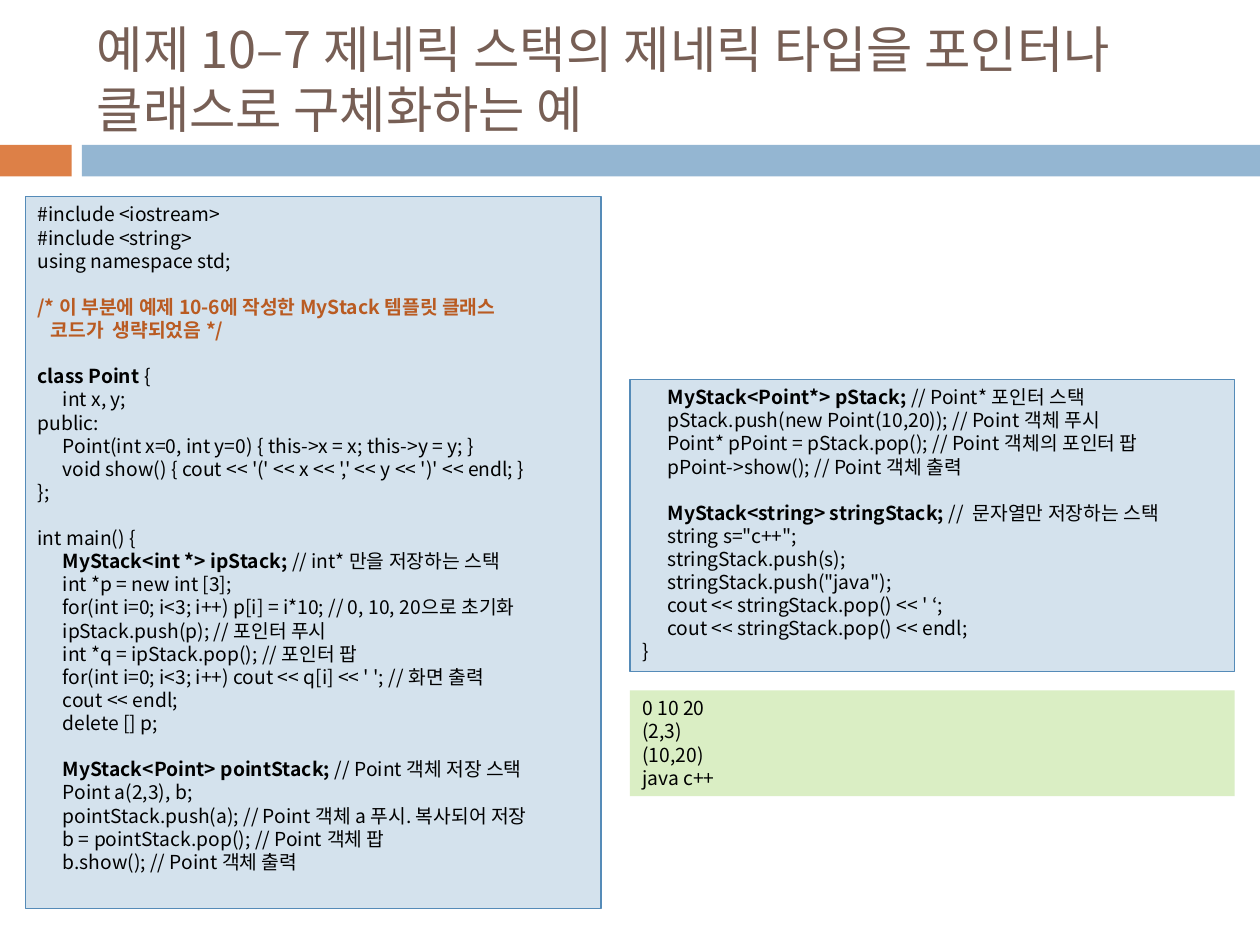
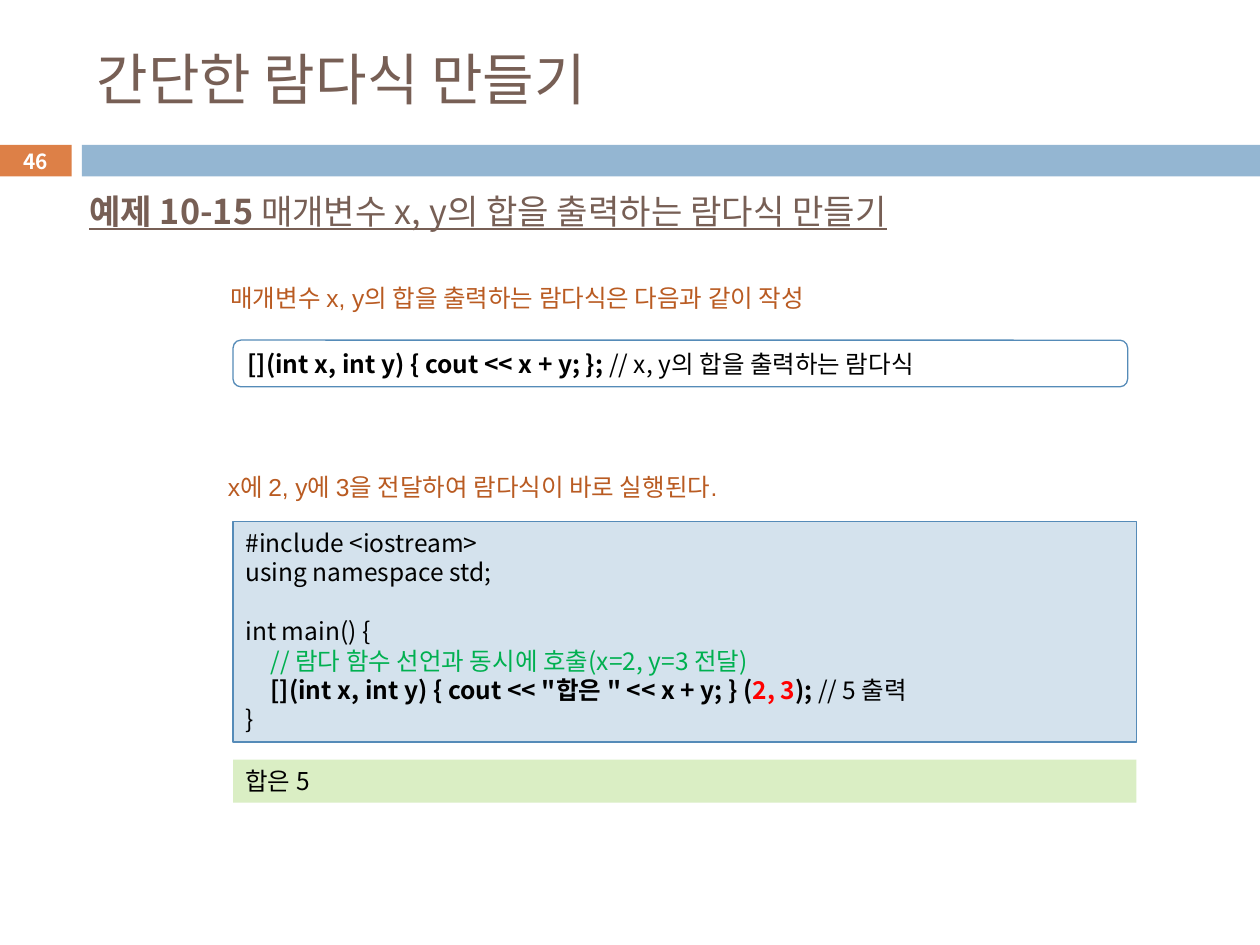
from dataclasses import dataclass
from lxml import etree
from pptx import Presentation
from pptx.dml.color import RGBColor
from pptx.enum import shapes, text
from pptx.oxml import ns
from pptx.util import Inches, Pt


@dataclass(frozen=True)
class Theme:
    sans: str = "Noto Sans CJK KR"
    plain: str = "Arial"
    brown: str = "775F55"
    orange: str = "DD8047"
    blue: str = "94B6D2"
    pale: str = "D4E2ED"
    edge: str = "558BB8"
    lime: str = "DAEEC4"
    rust: str = "B95B22"
    green: str = "00B050"
    red: str = "FF0000"
    black: str = "000000"
    white: str = "FFFFFF"
    small: float = 11
    body: float = 14
    badge: float = 11.9
    sub: float = 19.5
    long: float = 28.8
    title: float = 32
    pitch: float = 1.2
    tab: float = 0.2


T = Theme()
RECT = shapes.MSO_SHAPE.RECTANGLE
ROUND = shapes.MSO_SHAPE.ROUNDED_RECTANGLE
MID = text.MSO_ANCHOR.MIDDLE
BOLD = {"bold": True}
NOTE = {"bold": True, "color": T.rust}
HINT = {"color": T.green}
HOT = {"bold": True, "color": T.red}

STACK = [
    ["#include <iostream>", "#include <string>", "using namespace std;"],
    [[("/* 이 부분에 예제 10-6에 작성한 MyStack 템플릿 클래스", NOTE)],
     [("   코드가  생략되었음 */", NOTE)]],
    [[("class Point ", BOLD), ("{", {})],
     "\tint x, y;",
     "public:",
     "\tPoint(int x=0, int y=0) { this->x = x; this->y = y; }",
     "\tvoid show() { cout << '(' << x << ',' << y << ')' << endl; }",
     "};"],
    ["int main() {",
     [("\t", {}), ("MyStack<int *> ipStack; ", BOLD), ("// int* 만을 저장하는 스택", {})],
     "\tint *p = new int [3];",
     "\tfor(int i=0; i<3; i++) p[i] = i*10; // 0, 10, 20으로 초기화",
     "\tipStack.push(p); // 포인터 푸시",
     "\tint *q = ipStack.pop(); // 포인터 팝",
     "\tfor(int i=0; i<3; i++) cout << q[i] << ' '; // 화면 출력",
     "\tcout << endl;",
     "\tdelete [] p;"],
    [[("\t", {}), ("MyStack<Point> pointStack; ", BOLD), ("// Point 객체 저장 스택", {})],
     "\tPoint a(2,3), b;",
     "\tpointStack.push(a); // Point 객체 a 푸시. 복사되어 저장",
     "\tb = pointStack.pop(); // Point 객체 팝",
     "\tb.show(); // Point 객체 출력"],
]
MORE = [
    [[("\t", {}), ("MyStack<Point*> pStack; ", BOLD), ("// Point* 포인터 스택", {})],
     "\tpStack.push(new Point(10,20)); // Point 객체 푸시",
     "\tPoint* pPoint = pStack.pop(); // Point 객체의 포인터 팝",
     "\tpPoint->show(); // Point 객체 출력"],
    [[("\t", {}), ("MyStack<string> stringStack; ", BOLD), ("//  문자열만 저장하는 스택", {})],
     '\tstring s="c++";',
     "\tstringStack.push(s);",
     '\tstringStack.push("java");',
     "\tcout << stringStack.pop() << ' ‘;",
     "\tcout << stringStack.pop() << endl;",
     "}"],
]
RESULT = [["0 10 20", "(2,3)", "(10,20)", "java c++"]]
FORM = [[[("[](int x, int y) { cout << x + y; }; ", BOLD),
          ("// x, y의 합을 출력하는 람다식", {})]]]
CALL = [
    ["#include <iostream>", "using namespace std;"],
    ["int main() {",
     [("\t", {}), ("// 람다 함수 선언과 동시에 호출(x=2, y=3 전달)", HINT)],
     [("\t", {}), ('[](int x, int y) { cout << "합은 " << x + y; } (', BOLD),
      ("2, 3", HOT), ("); ", BOLD), ("// 5 출력", {})],
     "}"],
]
LINE = {"underline": True}
TOPIC = [[[("예제", {**LINE, **BOLD}), (" ", LINE), ("10-15", {**LINE, **BOLD}),
           (" 매개변수 x, y의 합을 출력하는 람다식 만들기", LINE)]]]


def rgb(code):
    return RGBColor.from_string(code)


def add_run(para, words, size, face, color, bold=False, underline=False):
    run = para.add_run()
    run.text = words
    font = run.font
    font.size, font.bold, font.underline = Pt(size), bold, underline
    font.color.rgb = rgb(color)
    font.name = face
    east = etree.SubElement(run._r.get_or_add_rPr(), ns.qn("a:ea"))
    east.set("typeface", T.sans)


def write(shape, groups, size, color=T.black, face=T.sans,
          anchor=text.MSO_ANCHOR.TOP, align=text.PP_ALIGN.LEFT, **look):
    frame = shape.text_frame
    frame.word_wrap, frame.vertical_anchor = True, anchor
    pitch = Pt(size * T.pitch)
    first = True
    for group in groups:
        for row, line in enumerate(group):
            para = frame.paragraphs[0] if first else frame.add_paragraph()
            para.alignment, para.line_spacing = align, pitch
            if row == 0 and not first:
                para.space_before = pitch
            first = False
            runs = [(line, {})] if isinstance(line, str) else line
            if runs[0][0].startswith("\t"):
                tabs = etree.SubElement(para._p.get_or_add_pPr(), ns.qn("a:tabLst"))
                stop = etree.SubElement(tabs, ns.qn("a:tab"))
                stop.set("pos", str(Inches(T.tab)))
                stop.set("algn", "l")
            for words, style in runs:
                add_run(para, words, **{"size": size, "face": face, "color": color,
                                        **look, **style})


def panel(slide, box, fill=None, edge=None, kind=RECT):
    shape = slide.shapes.add_shape(kind, *map(Inches, box))
    shape.shadow.inherit = False
    if fill:
        shape.fill.solid()
        shape.fill.fore_color.rgb = rgb(fill)
    else:
        shape.fill.background()
    if edge:
        shape.line.color.rgb = rgb(edge)
        shape.line.width = Pt(0.75)
    else:
        shape.line.fill.background()
    return shape


def label(slide, box, groups, size, color, **look):
    write(slide.shapes.add_textbox(*map(Inches, box)), groups, size, color, **look)


def code(slide, box, groups, size):
    write(panel(slide, box, T.pale, T.edge), groups, size)


def output(slide, box, groups, size):
    write(panel(slide, box, T.lime), groups, size)


def head(slide, box, title, size, number=None):
    x, y, w, h = box
    band = y + h - 0.25
    badge = panel(slide, (x, band, 0.57, 0.25), T.orange)
    panel(slide, (x + 0.65, band, w - 0.65, 0.25), T.blue)
    label(slide, (x + 0.67, y + 0.25, 8.92, 0.74), [[title]], size, T.brown, anchor=MID)
    if number:
        write(badge, [[number]], T.badge, T.white, anchor=MID,
              align=text.PP_ALIGN.CENTER, bold=True)


def stack(slide, box):
    x, y, w, h = box
    half = w / 2
    code(slide, (x, y, half - 0.23, h), STACK, T.small)
    code(slide, (x + half, y + 1.45, half, 2.32), MORE, T.small)
    output(slide, (x + half, y + 3.92, half, 0.84), RESULT, T.small)


def closure(slide, box):
    x, y, w, h = box
    label(slide, (x - 1.24, y, 8.92, 0.74), TOPIC, T.sub, T.brown, anchor=MID)
    notes = [
        (-0.12, 0.9, "매개변수 x, y의 합을 출력하는 람다식은 다음과 같이 작성"),
        (-0.14, 2.4, "x에 2, y에 3을 전달하여 람다식이 바로 실행된다."),
    ]
    for left, top, words in notes:
        label(slide, (x + left, y + top, 6.05, 0.34), [[words]], T.body, T.rust, face=T.plain)
    write(panel(slide, (x, y + 1.4, w - 0.07, 0.37), edge=T.edge, kind=ROUND),
          FORM, T.body, anchor=MID)
    code(slide, (x, y + 2.84, w, 1.75), CALL, T.body)
    output(slide, (x, y + h - 0.34, w, 0.34), [["합은 5"]], T.body)


def main():
    deck = Presentation()
    deck.slide_width, deck.slide_height = Inches(10), Inches(7.5)
    top = (0, 0, 10, 1.4)
    pages = [
        (stack, (0.2, 1.56, 9.6, 5.65),
         ("예제 10–7 제네릭 스택의 제네릭 타입을 포인터나 클래스로 구체화하는 예", T.long)),
        (closure, (1.85, 1.3, 7.17, 5.07), ("간단한 람다식 만들기", T.title, "46")),
    ]
    for draw, box, title in pages:
        slide = deck.slides.add_slide(deck.slide_layouts[6])
        head(slide, top, *title)
        draw(slide, box)
    deck.save("out.pptx")


if __name__ == "__main__":
    main()
